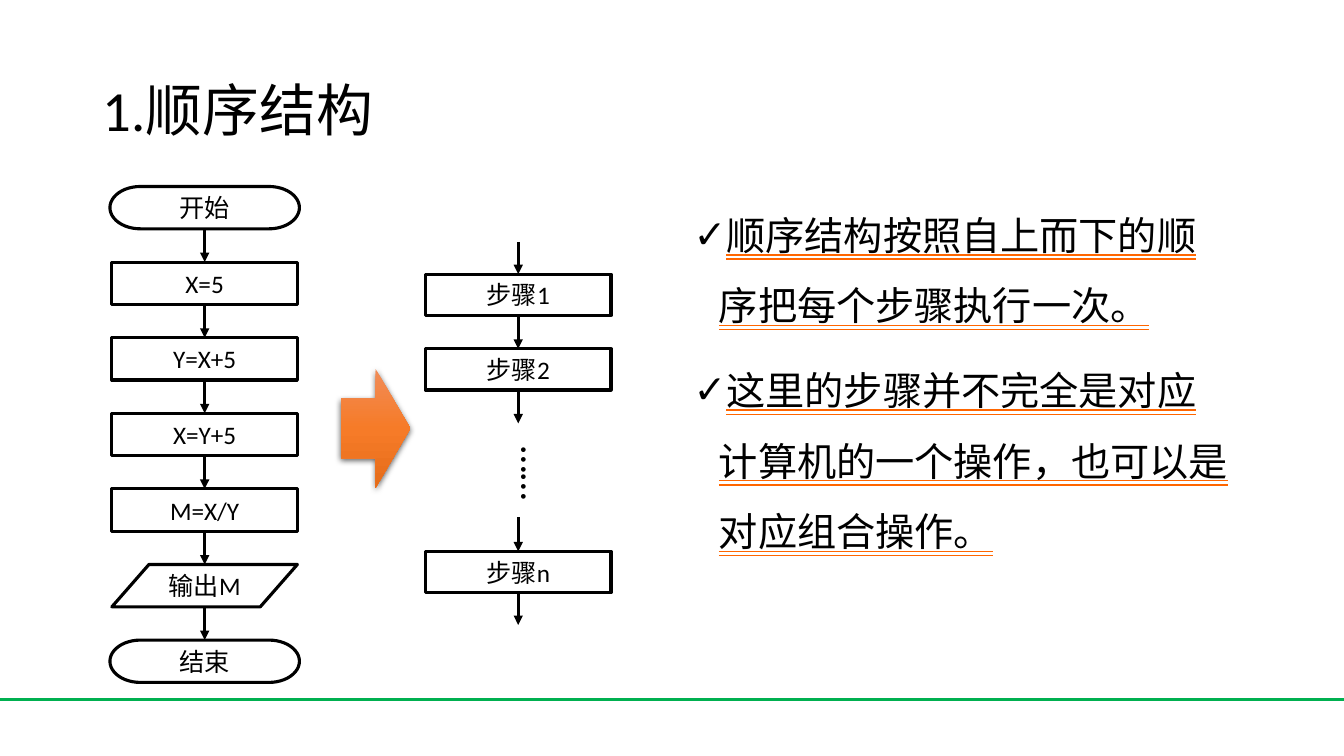
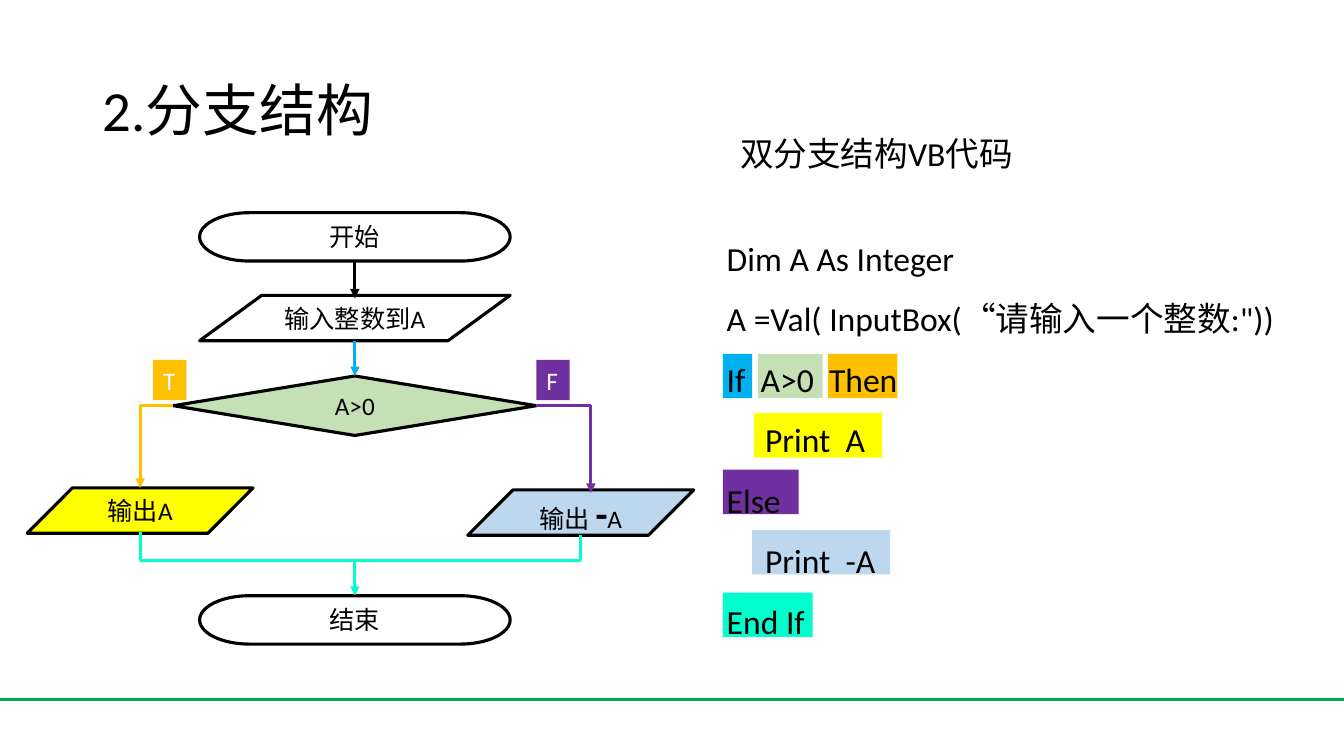
"""Build two slides on sequential and branching program structures."""
from dataclasses import dataclass

from pptx import Presentation
from pptx.dml.color import RGBColor
from pptx.enum.lang import MSO_LANGUAGE_ID as Lang
from pptx.enum.shapes import MSO_CONNECTOR as Wire, MSO_SHAPE as Kind
from pptx.enum.text import (MSO_ANCHOR as Anchor, MSO_AUTO_SIZE as AutoSize,
                            MSO_UNDERLINE as Underline, PP_ALIGN as Align)
from pptx.oxml import parse_xml
from pptx.oxml.ns import nsdecls, qn
from pptx.util import Inches, Pt


@dataclass(frozen=True)
class Theme:
    font: str = "Calibri"
    title: float = 40.5
    body: int = 28
    code: int = 24
    label: int = 18
    outline: float = 2.25
    black: str = "000000"
    white: str = "FFFFFF"
    green: str = "00B050"
    amber: str = "FFC000"
    purple: str = "7030A0"
    blue: str = "00B0F0"
    aqua: str = "00FFCC"
    yellow: str = "FFFF00"
    sage: str = "C5E0B4"
    sky: str = "BDD7EE"
    orange: str = "F67B28"
    orange_light: str = "F18C57"
    orange_dark: str = "E56C19"
    underline: str = "FF6600"


theme = Theme()


def write(frame, *spans, size=theme.label, color=theme.black, align=Align.LEFT,
          spacing=1.0, before=0, indent=0, bullet=None, underline=None):
    """Add one paragraph; a span is a text or a (text, size, bold) tuple."""
    first = frame.paragraphs[0]
    para = frame.add_paragraph() if first.runs else first
    para.alignment = align
    para.line_spacing = spacing
    para.space_before = Pt(before)
    props = para._p.get_or_add_pPr()
    props.set("marL", str(Inches(indent)))
    props.set("indent", str(-Inches(indent) if bullet else 0))
    mark = f'buChar {nsdecls("a")} char="{bullet}"' if bullet else f'buNone {nsdecls("a")}'
    props.append(parse_xml(f"<a:{mark}/>"))
    for item in spans:
        text, points, bold = (item, size, None) if isinstance(item, str) else item
        span = para.add_run()
        span.text = text
        span.font.size = Pt(points)
        span.font.bold = bold
        span.font.name = theme.font
        span.font.color.rgb = RGBColor.from_string(color)
        span.font.underline = underline
        span.font.language_id = Lang.SIMPLIFIED_CHINESE


def draw(page, kind, place, *spans, fill=None, line=theme.black, **style):
    """Add a preset shape with an optional centred label."""
    shape = page.shapes.add_shape(kind, *map(Inches, place))
    shape.shadow.inherit = False
    if fill:
        shape.fill.solid()
        shape.fill.fore_color.rgb = RGBColor.from_string(fill)
    else:
        shape.fill.background()
    if line:
        shape.line.color.rgb = RGBColor.from_string(line)
        shape.line.width = Pt(theme.outline)
    else:
        shape.line.fill.background()
    if spans:
        shape.text_frame.vertical_anchor = Anchor.MIDDLE
        write(shape.text_frame, *spans, **{"align": Align.CENTER, **style})
    return shape


deck = Presentation()
deck.slide_width, deck.slide_height = Inches(13.33), Inches(7.5)

pages = []
for heading, body_place in (("1.顺序结构", (6.78, 1.81, 5.53, 4.07)),
                            ("2.分支结构", (7.24, 1.31, 4.16, 0.5))):
    page = deck.slides.add_slide(deck.slide_layouts[1])
    title, body = page.placeholders
    for holder, place in ((title, (0.92, 0.4, 11.5, 1.45)), (body, body_place)):
        holder.left, holder.top, holder.width, holder.height = map(Inches, place)
        holder.text_frame.auto_size = AutoSize.NONE
    title.text_frame.vertical_anchor = Anchor.MIDDLE
    write(title.text_frame, heading, size=theme.title, spacing=0.9)
    pages.append((page, body))
(sequence, sequence_body), (branch, branch_body) = pages

footer_rule = sequence.shapes.add_connector(
    Wire.STRAIGHT, 0, Inches(6.94), deck.slide_width, Inches(6.94))
footer_rule.line.color.rgb = RGBColor.from_string(theme.green)
footer_rule.line.width = Pt(1.5)
footer_rule.element.spPr.append(parse_xml(f'<a:effectLst {nsdecls("a")}/>'))
deck.slide_master.shapes.element.append(footer_rule.element)

for point in ("顺序结构按照自上而下的顺序把每个步骤执行一次。",
              "这里的步骤并不完全是对应计算机的一个操作，也可以是对应组合操作。"):
    write(sequence_body.text_frame, point, size=theme.body, spacing=1.5, before=10,
          indent=0.25, bullet="✓", underline=Underline.DOUBLE_LINE)
for latin in sequence_body.element.iter(qn("a:latin")):
    latin.addprevious(parse_xml(
        f'<a:uFill {nsdecls("a")}><a:solidFill><a:srgbClr val="{theme.underline}"/>'
        '</a:solidFill></a:uFill>'))

wires = []
steps = []
for row, (kind, label) in enumerate((
        (Kind.FLOWCHART_TERMINATOR, "开始"), (Kind.FLOWCHART_PROCESS, "X=5"),
        (Kind.FLOWCHART_PROCESS, "Y=X+5"), (Kind.FLOWCHART_PROCESS, "X=Y+5"),
        (Kind.FLOWCHART_PROCESS, "M=X/Y"), (Kind.FLOWCHART_DATA, "输出M"),
        (Kind.FLOWCHART_TERMINATOR, "结束"))):
    width = 1.88 if kind == Kind.FLOWCHART_TERMINATOR else 1.84
    place = (2.03 - width / 2, 1.85 + 0.75 * row, width, 0.42)
    steps.append(draw(sequence, kind, place, label, fill=theme.white))
ends = steps[:5] + [None] + steps[6:]
for upper, lower in zip(ends, ends[1:]):
    wires.append((sequence, upper or (2.03, 6.02), lower or (2.03, 5.6),
                  theme.black, None, True))

step_1, step_2, step_n = [
    draw(sequence, Kind.FLOWCHART_PROCESS, (4.22, top, 1.84, 0.41), label, fill=theme.white)
    for top, label in ((2.72, "步骤1"), (3.46, "步骤2"), (5.47, "步骤n"))]
for start, end in (((5.14, 2.4), step_1), (step_1, step_2), (step_2, (5.14, 4.2)),
                   ((5.14, 5.13), step_n), (step_n, (5.14, 6.2))):
    wires.append((sequence, start, end, theme.black, None, True))

dots = sequence.shapes.add_textbox(*map(Inches, (4.94, 4.33, 0.67, 0.94)))
dots.text_frame.word_wrap = True
next(dots.element.iter(qn("a:bodyPr"))).set("vert", "eaVert")
write(dots.text_frame, "……", size=theme.body)

block_arrow = draw(sequence, Kind.RIGHT_ARROW, (3.38, 3.66, 0.69, 1.18),
                   fill=theme.orange, line=None)
stops = "".join(
    f'<a:gs pos="{position}"><a:srgbClr val="{color}"/></a:gs>'
    for position, color in ((0, theme.orange_light), (50000, theme.orange),
                            (100000, theme.orange_dark)))
arrow_props = block_arrow.element.spPr
arrow_props.replace(arrow_props.find(qn("a:solidFill")), parse_xml(
    f'<a:gradFill {nsdecls("a")}><a:gsLst>{stops}</a:gsLst>'
    '<a:lin ang="5400000" scaled="0"/></a:gradFill>'))
arrow_props.find(qn("a:effectLst")).append(parse_xml(
    f'<a:outerShdw {nsdecls("a")} blurRad="{Pt(4.5)}" dist="{Pt(1.5)}" dir="5400000">'
    f'<a:srgbClr val="{theme.black}"><a:alpha val="63000"/></a:srgbClr></a:outerShdw>'))

write(branch_body.text_frame, "双分支结构VB代码", size=theme.code, spacing=0.9, before=10)

for left, top, width, color in (
        (7.17, 5.88, 0.89, theme.aqua), (7.46, 5.26, 1.37, theme.sky),
        (7.17, 4.66, 0.75, theme.purple), (7.48, 4.1, 1.27, theme.yellow),
        (8.21, 3.51, 0.69, theme.amber), (7.52, 3.51, 0.64, theme.sage),
        (7.17, 3.51, 0.29, theme.blue)):
    draw(branch, Kind.RECTANGLE, (left, top, width, 0.44), fill=color, line=None)

begin, finish = [
    draw(branch, Kind.FLOWCHART_TERMINATOR, (1.98, top, 3.08, 0.48), label)
    for top, label in ((2.11, "开始"), (5.91, "结束"))]
draw(branch, Kind.FLOWCHART_DATA, (1.98, 2.93, 3.08, 0.45), "输入整数到A", fill=theme.white)
decision = draw(branch, Kind.FLOWCHART_DECISION, (1.72, 3.73, 3.6, 0.59), "A>0",
                fill=theme.sage)
draw(branch, Kind.FLOWCHART_DATA, (0.27, 4.84, 2.24, 0.45), "输出A", fill=theme.yellow)
draw(branch, Kind.FLOWCHART_DATA, (4.64, 4.86, 2.24, 0.45),
     "输出 ", ("-", theme.body, True), "A", fill=theme.sky)
for left, label, color in ((1.52, "T", theme.amber), (5.32, "F", theme.purple)):
    draw(branch, Kind.RECTANGLE, (left, 3.57, 0.33, 0.4), label,
         fill=color, line=None, color=theme.white, align=Align.LEFT)

wires += [
    (branch, begin, (3.52, 2.96), theme.black, None, True),
    (branch, (3.52, 3.38), decision, theme.blue, None, True),
    (branch, (1.72, 4.02), (1.39, 4.84), theme.amber, "bentConnector2", True),
    (branch, (5.32, 4.02), (5.86, 4.89), theme.purple, "bentConnector2", True),
    (branch, (3.56, 3.11), (3.59, 7.48), theme.aqua, "bentConnector3", False),
    (branch, (3.52, 5.56), finish, theme.aqua, None, True),
]
for page, start, end, color, bend, has_head in wires:
    points = [point if isinstance(point, tuple) else (0, 0) for point in (start, end)]
    wire = page.shapes.add_connector(Wire.ELBOW if bend else Wire.STRAIGHT,
                                     *map(Inches, points[0] + points[1]))
    if not isinstance(start, tuple):
        wire.begin_connect(start, 2)
    if not isinstance(end, tuple):
        wire.end_connect(end, 0)
    wire.line.color.rgb = RGBColor.from_string(color)
    wire.line.width = Pt(theme.outline)
    wire_props = wire.element.spPr
    wire_props.append(parse_xml(f'<a:effectLst {nsdecls("a")}/>'))
    if has_head:
        wire_props.find(qn("a:ln")).append(
            parse_xml(f'<a:tailEnd {nsdecls("a")} type="triangle"/>'))
    if bend:
        geometry = wire_props.find(qn("a:prstGeom"))
        geometry.set("prst", bend)
    if bend == "bentConnector3":
        frame = wire_props.find(qn("a:xfrm"))
        frame.set("rot", "16200000")
        frame.set("flipH", "1")
        geometry.find(qn("a:avLst")).append(
            parse_xml(f'<a:gd {nsdecls("a")} name="adj1" fmla="val 933333"/>'))

code = branch.shapes.add_textbox(*map(Inches, (7.11, 2.11, 5.97, 4.34)))
code.text_frame.word_wrap = True
for indent, text in ((0, "Dim A As Integer"), (0, "A =Val( InputBox(“请输入一个整数:\"))"),
                     (0, "If  A>0  Then"), (0.38, "Print  A"), (0, "Else"),
                     (0.38, "Print  -A"), (0, "End If")):
    write(code.text_frame, text, size=theme.code, spacing=1.5, indent=indent)

deck.save("out.pptx")
